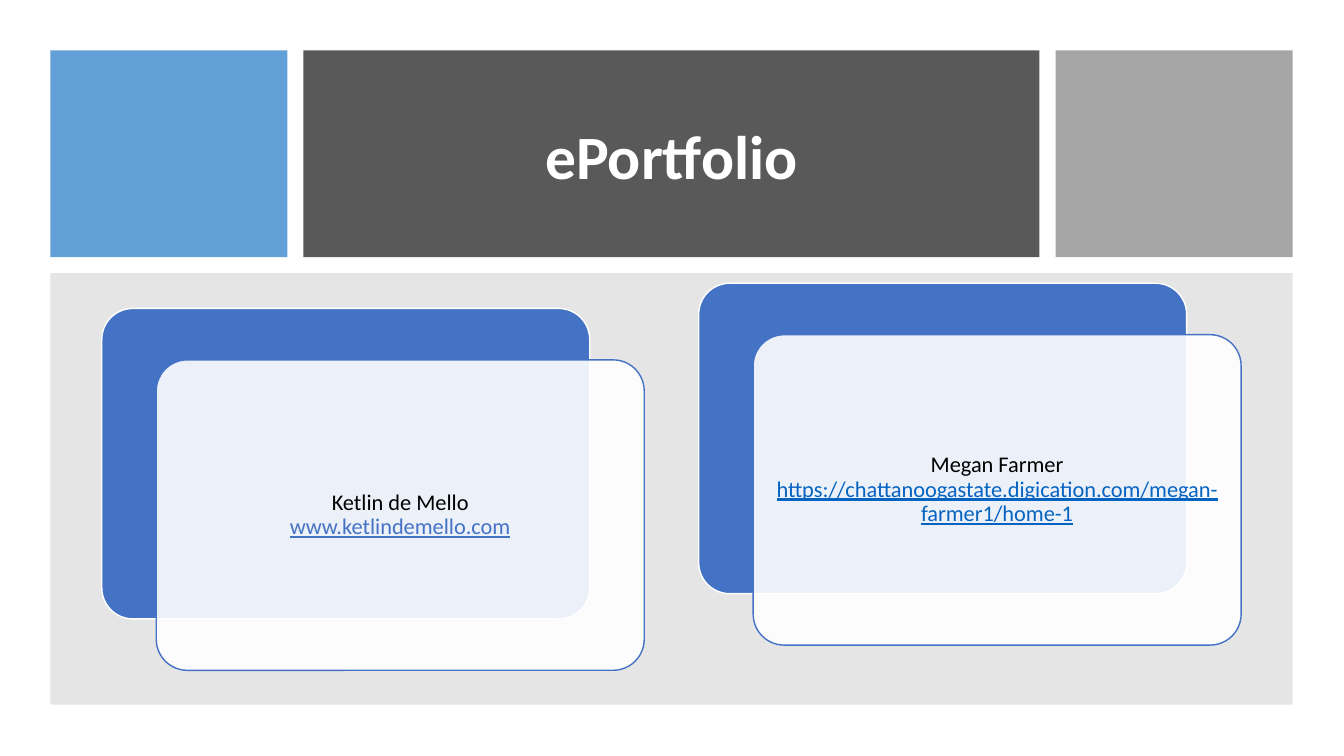
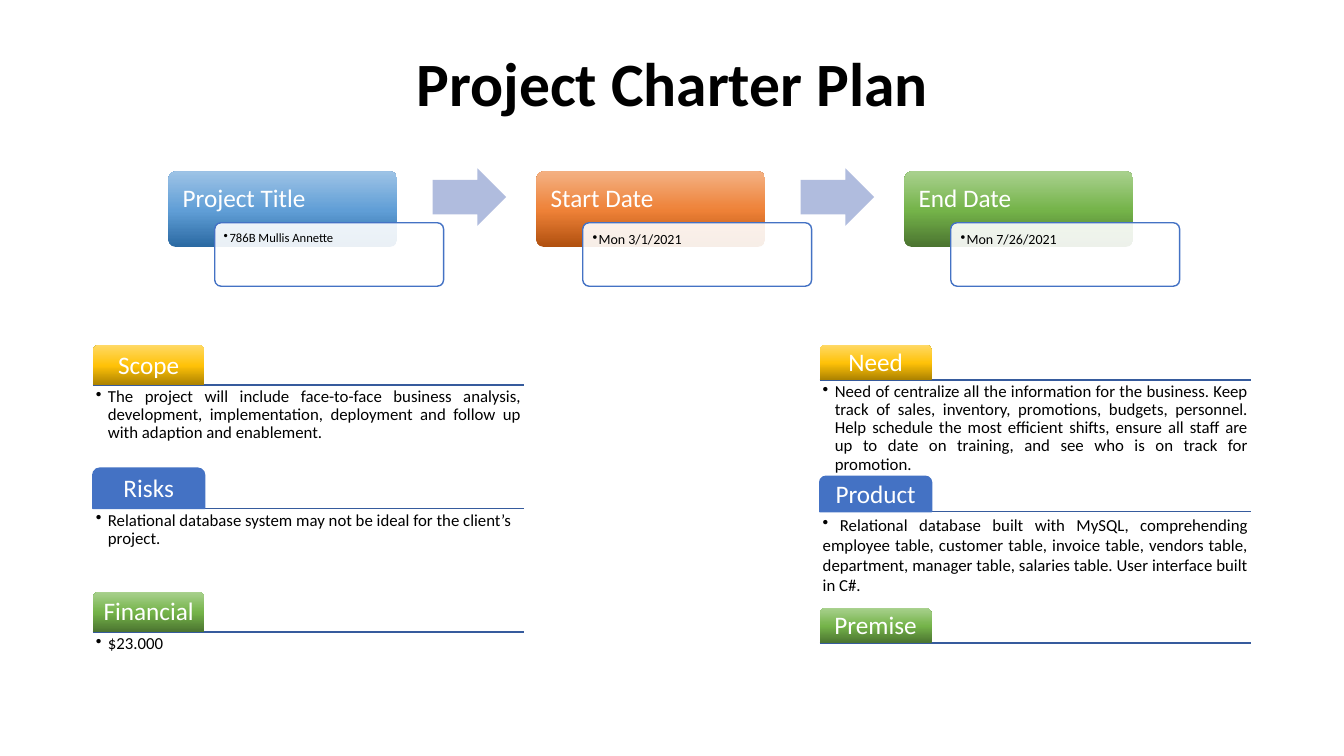
"""Build two slides: an ePortfolio page and a project charter plan."""
from lxml import etree
from pptx import Presentation
from pptx.dml.color import RGBColor
from pptx.enum.shapes import MSO_CONNECTOR, MSO_SHAPE
from pptx.enum.text import MSO_ANCHOR, PP_ALIGN
from pptx.oxml.ns import qn
from pptx.util import Inches, Pt

RECT, ROUND = MSO_SHAPE.RECTANGLE, MSO_SHAPE.ROUNDED_RECTANGLE
TAB, ARROW = MSO_SHAPE.ROUND_2_SAME_RECTANGLE, MSO_SHAPE.RIGHT_ARROW
STRAIGHT = MSO_CONNECTOR.STRAIGHT
TOP, MIDDLE = MSO_ANCHOR.TOP, MSO_ANCHOR.MIDDLE
LEFT, CENTER, JUSTIFY = PP_ALIGN.LEFT, PP_ALIGN.CENTER, PP_ALIGN.JUSTIFY

FONT = "Calibri"
WHITE, BLACK, BLUE, LINK = "FFFFFF", "000000", "4472C4", "0563C1"
SKY, DARK, GRAY, PANEL = "5B9BD5", "595959", "A5A5A5", "808080"
RULE, PALE = "365B9D", "B0BCDE"
GOLD = ("AB8100", "FFC208", "FFD966")
GREEN = ("4B7430", "74B349", "A9D18E")
AZURE = ("2A69A2", "609ED6", "9DC3E6")
ORANGE = ("B0500F", "EE8137", "F4B183")
STOPS = (0, 48, 100)

MARGIN, GAP, BAND_H, PANEL_H = 0.5, 0.16, 2.05, 4.28
BANDS = [(2.35, SKY, 95), (7.3, DARK, 100), (2.35, GRAY, 100)]
CARD_W, CARD_H, CARD_DX, CARD_DY = 4.84, 3.08, 0.54, 0.51
CARDS = [
    (1.01, 3.06, "Ketlin de Mello", "www.ketlindemello.com", BLUE),
    (6.93, 2.81, "Megan Farmer",
     "https://chattanoogastate.digication.com/megan-farmer1/home-1", LINK),
]

STEP_X, STEP_Y, STEP_W, STEP_PITCH = 1.67, 1.7, 2.27, 3.65
STEPS = [
    ("Project Title", "786B Mullis Annette", 9, 0.07, AZURE),
    ("Start Date", "Mon 3/1/2021", 10, 0.08, ORANGE),
    ("End Date", "Mon 7/26/2021", 10, 0.08, GREEN),
]

COL_W, TAB_W = 4.28, 1.11
COLUMNS = [
    dict(x=0.92, first=3.82, last=6.27, tab_h=0.4, items=[
        ("Scope", GOLD, JUSTIFY, 0.12,
         "The project will include face-to-face business analysis, "
         "development, implementation, deployment and follow up with "
         "adaption and enablement."),
        ("Risks", BLUE, LEFT, 0.12,
         "Relational database system may not be ideal for the client’s "
         "project."),
        ("Financial", GREEN, LEFT, 0.12, "$23.000"),
    ]),
    dict(x=8.13, first=3.77, last=6.38, tab_h=0.35, items=[
        ("Need", GOLD, JUSTIFY, 0.12,
         "Need of centralize all the information for the business. Keep "
         "track of sales, inventory, promotions, budgets, personnel. Help "
         "schedule the most efficient shifts, ensure all staff are up to "
         "date on training, and see who is on track for promotion."),
        ("Product", BLUE, JUSTIFY, 0,
         "\tRelational database built with MySQL, comprehending employee "
         "table, customer table, invoice table, vendors table, department, "
         "manager table, salaries table. User interface built in C#."),
        ("Premise", GREEN, LEFT, 0, ""),
    ]),
]


def rgb(value):
    return RGBColor.from_string(value)


def paint(sp, fill, alpha=100):
    spPr = sp._element.spPr
    if isinstance(fill, tuple):
        sp.fill.gradient()
        sp.fill.gradient_angle = 90
        stops = spPr.find(qn("a:gradFill")).find(qn("a:gsLst"))
        for gs in list(stops):
            stops.remove(gs)
        for pos, color in zip(STOPS, fill):
            gs = etree.SubElement(stops, qn("a:gs"), pos=str(pos * 1000))
            etree.SubElement(gs, qn("a:srgbClr"), val=color)
        return
    sp.fill.solid()
    sp.fill.fore_color.rgb = rgb(fill)
    if alpha < 100:
        color = spPr.find(qn("a:solidFill"))[0]
        etree.SubElement(color, qn("a:alpha"), val=str(alpha * 1000))


def add_box(slide, kind, x, y, w, h, fill, alpha=100, line=None, adj=()):
    sp = slide.shapes.add_shape(kind, *map(Inches, (x, y, w, h)))
    sp.shadow.inherit = False
    for i, value in enumerate(adj):
        sp.adjustments[i] = value
    paint(sp, fill, alpha)
    if line:
        sp.line.color.rgb = rgb(line)
        sp.line.width = Pt(1)
    else:
        sp.line.fill.background()
    return sp


def add_textbox(slide, x, y, w, h):
    return slide.shapes.add_textbox(*map(Inches, (x, y, w, h)))


def write(sp, text, size, color, align=CENTER, anchor=MIDDLE, inset=0.07,
          bold=False, spacing=0.9, bullet=None):
    tf = sp.text_frame
    tf.word_wrap = True
    tf.vertical_anchor = anchor
    tf.margin_left = tf.margin_right = Inches(inset)
    tf.margin_top = tf.margin_bottom = Inches(inset)
    p = tf.paragraphs[0]
    p.text = text
    p.alignment = align
    p.line_spacing = spacing
    if bullet is not None:
        pPr = p._p.get_or_add_pPr()
        pPr.set("marL", str(Inches(bullet)))
        pPr.set("indent", str(-Inches(bullet)))
        etree.SubElement(pPr, qn("a:buChar"), char="•")
        if not bullet:
            tabs = etree.SubElement(pPr, qn("a:tabLst"))
            etree.SubElement(tabs, qn("a:tab"), pos=str(Inches(0.17)), algn="l")
    for r in p.runs:
        r.font.name = FONT
        r.font.size = Pt(size)
        r.font.bold = bold
        r.font.color.rgb = rgb(color)
    return p


def add_title(slide, text, color, x, y, w, h):
    write(add_textbox(slide, x, y, w, h), text, 44, color, bold=True)


def add_rule(slide, x, y):
    line = slide.shapes.add_connector(
        STRAIGHT, *map(Inches, (x, y, x + COL_W, y)))
    line.line.color.rgb = rgb(RULE)
    line.line.width = Pt(1)
    etree.SubElement(line._element.spPr, qn("a:effectLst"))


def build_portfolio(slide):
    x = MARGIN
    for w, color, alpha in BANDS:
        add_box(slide, RECT, x, MARGIN, w, BAND_H, color, alpha)
        x += w + GAP
    add_title(slide, "ePortfolio", WHITE, 3.33, 0.8, 6.66, 1.56)
    add_box(slide, RECT, MARGIN, MARGIN + BAND_H + GAP,
            x - GAP - MARGIN, PANEL_H, PANEL, 20)
    for x, y, name, address, color in CARDS:
        add_box(slide, ROUND, x, y, CARD_W, CARD_H, BLUE, line=WHITE, adj=[0.1])
        front = add_box(slide, ROUND, x + CARD_DX, y + CARD_DY, CARD_W, CARD_H,
                        WHITE, 90, BLUE, [0.1])
        r = write(front, f"{name}\v{address}", 16, BLACK).runs[-1]
        r.font.underline = True
        r.font.color.rgb = rgb(color)


def add_steps(slide):
    for i, (label, detail, size, inset, fill) in enumerate(STEPS):
        x = STEP_X + i * STEP_PITCH
        back = add_box(slide, ROUND, x, STEP_Y, STEP_W, 0.75, fill, adj=[0.1])
        write(back, label, 18, WHITE, LEFT, TOP, 0.12)
        front = add_box(slide, ROUND, x + 0.46, STEP_Y + 0.51, STEP_W, 0.63,
                        WHITE, 90, BLUE, [0.1])
        write(front, detail, size, BLACK, LEFT, TOP, inset, bullet=0.06)
        if i < len(STEPS) - 1:
            add_box(slide, ARROW, x + 2.62, 1.67, 0.73, 0.57, PALE,
                    adj=[0.6, 0.5])


def add_column(slide, x, first, last, tab_h, items):
    pitch = (last - first) / (len(items) - 1)
    for i, (label, fill, align, bullet, text) in enumerate(items):
        y = first + i * pitch
        add_rule(slide, x, y)
        tab = add_box(slide, TAB, x, y - tab_h, TAB_W, tab_h, fill,
                      line=BLUE if fill == BLUE else None, adj=[0.17, 0])
        write(tab, label, 18, WHITE, inset=0.04)
        if text:
            body = add_textbox(slide, x, y, COL_W, pitch - tab_h)
            write(body, text, 12, BLACK, align, TOP, 0.03,
                  spacing=0.9 if bullet else 1.0, bullet=bullet)


def build_charter(slide):
    add_title(slide, "Project Charter Plan", BLACK, 0.92, 0.13, 11.5, 1.45)
    for column in COLUMNS:
        add_column(slide, **column)
    add_steps(slide)


def main():
    prs = Presentation()
    prs.slide_width, prs.slide_height = Inches(13.33), Inches(7.5)
    for build in (build_portfolio, build_charter):
        build(prs.slides.add_slide(prs.slide_layouts[6]))
    prs.save("out.pptx")


if __name__ == "__main__":
    main()
